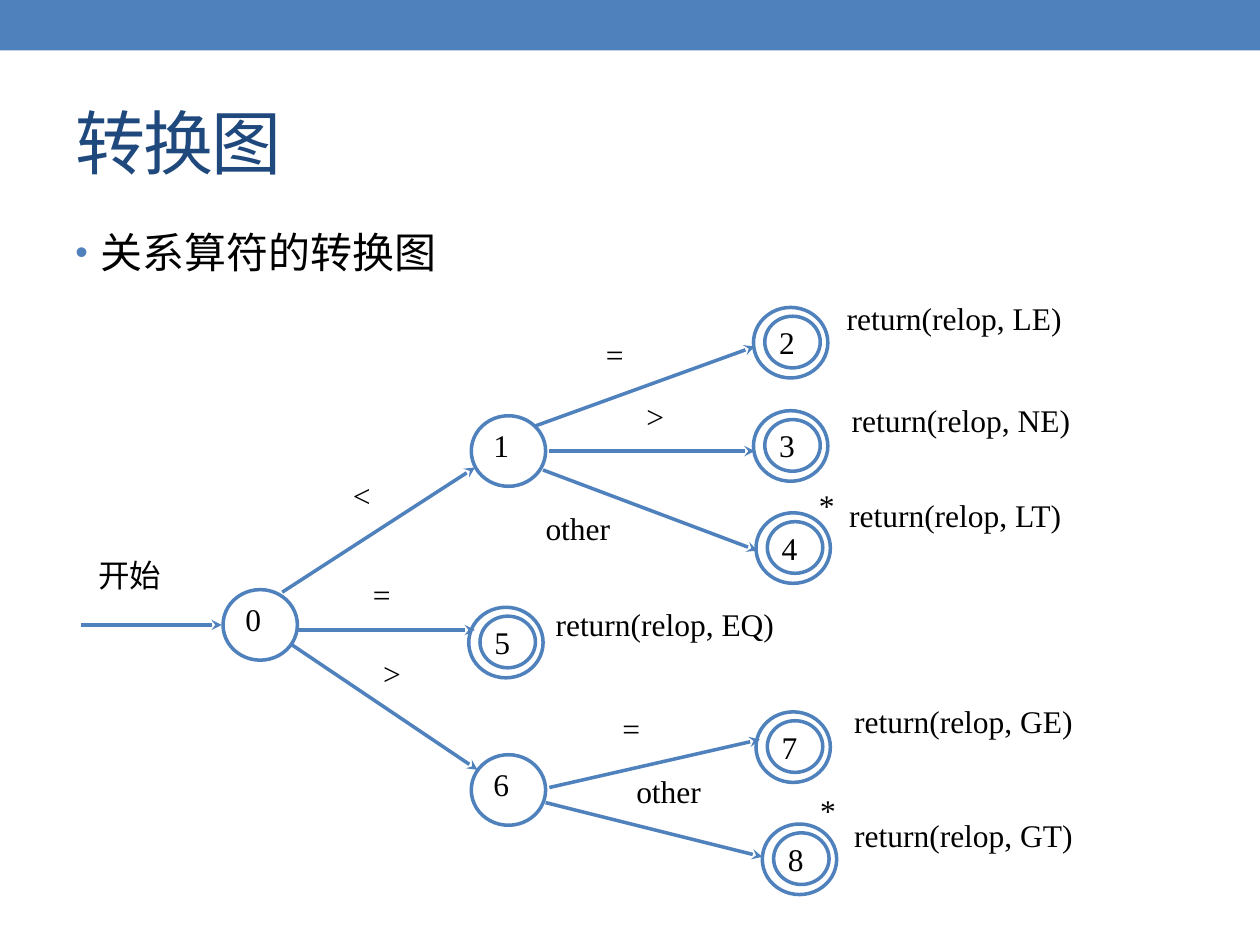
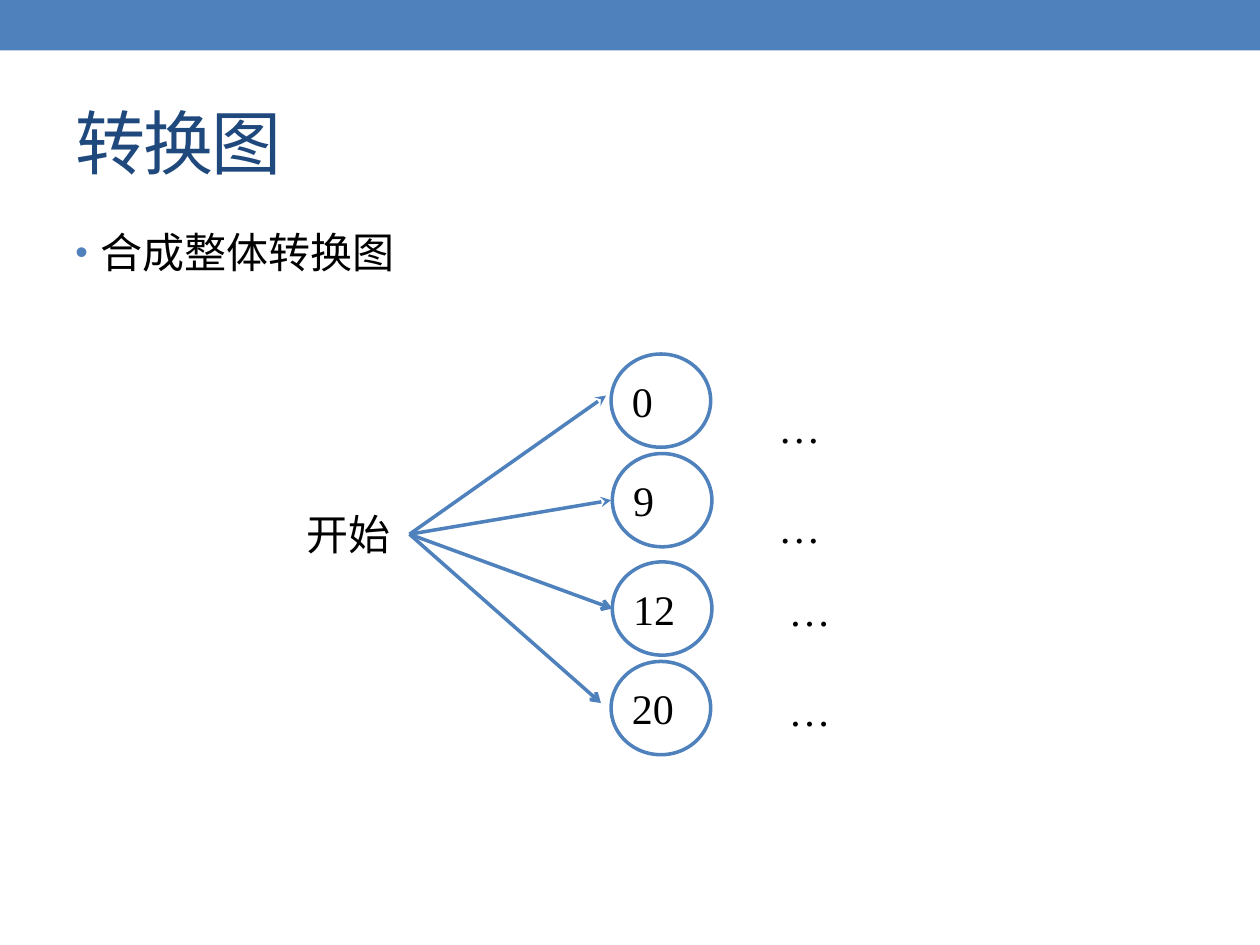
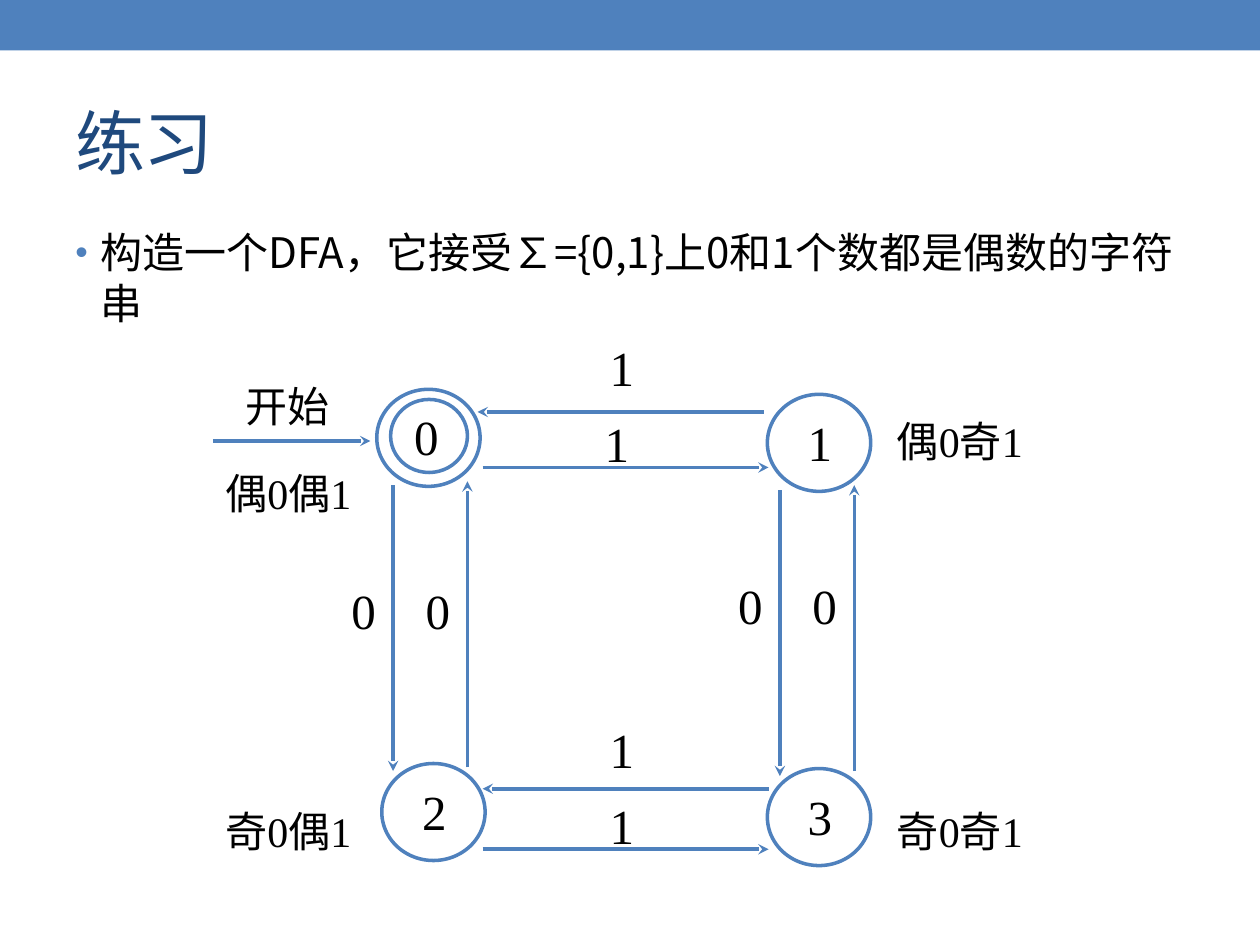
import pptx
import pptx.dml.color
import pptx.enum.shapes
import pptx.enum.text
import pptx.oxml
import pptx.oxml.ns
import pptx.util

Inches = pptx.util.Inches
Pt = pptx.util.Pt
RGBColor = pptx.dml.color.RGBColor
Align = pptx.enum.text.PP_ALIGN
Anchor = pptx.enum.text.MSO_ANCHOR
Preset = pptx.enum.shapes.MSO_SHAPE

BLUE = RGBColor(0x4F, 0x81, 0xBD)
NAVY = RGBColor(0x1F, 0x49, 0x7D)
BLACK = RGBColor(0, 0, 0)
SERIF = "Times New Roman"
SANS = "Noto Sans CJK SC"


def add_xml(parent, tag, **attributes):
    """Append a drawing element with the given attributes and return it."""
    element = pptx.oxml.parse_xml("<a:%s %s/>" % (tag, pptx.oxml.ns.nsdecls("a")))
    for name, value in attributes.items():
        element.set(name, str(value))
    parent.append(element)
    return element


def write_text(shape, text, size=18, font=SERIF, color=BLACK, align=Align.LEFT,
               anchor=Anchor.TOP, insets=(0.1, 0.05, 0.1, 0.05), tracking=None):
    """Put one formatted paragraph into a shape and return the paragraph."""
    frame = shape.text_frame
    frame.word_wrap = True
    frame.vertical_anchor = anchor
    (frame.margin_left, frame.margin_top,
     frame.margin_right, frame.margin_bottom) = map(Inches, insets)
    para = frame.paragraphs[0]
    para.alignment = align
    span = para.add_run()
    span.text = text
    span.font.size = Pt(size)
    span.font.name = font
    span.font.color.rgb = color
    properties = span.font._element
    add_xml(properties, "ea", typeface=SANS)
    if tracking:
        properties.set("spc", str(tracking))
    return para


class Builder:
    """Holds the deck, the shared style and the current page."""

    def __init__(self):
        """Start an empty 10 by 7.5 inch deck."""
        self.deck = pptx.Presentation()
        self.deck.slide_width = Inches(10)
        self.deck.slide_height = Inches(7.5)
        self.page = None

    def start_page(self, title, bullet, title_font=SERIF, bullet_font=SANS):
        """Add a page with its top band, title and bullet line."""
        self.page = self.deck.slides.add_slide(self.deck.slide_layouts[6])
        band = self.shape(Preset.RECTANGLE, 0, 0, 10, 0.4)
        band.fill.solid()
        band.fill.fore_color.rgb = BLUE
        band.line.fill.background()
        self.label(title, 0.5, 0.58, 9, 1.08, size=40, font=title_font,
                   color=NAVY, anchor=Anchor.MIDDLE, tracking=-100)
        para = self.label(bullet, 0.5, 1.75, 9, 5.33, size=24, font=bullet_font)
        para.space_before = Pt(4.8)
        properties = para._p.get_or_add_pPr()
        properties.set("marL", str(Inches(0.2)))
        properties.set("indent", str(Inches(-0.2)))
        add_xml(add_xml(properties, "buClr"), "srgbClr", val=BLUE)
        add_xml(properties, "buSzPct", val=85000)
        add_xml(properties, "buFont", typeface="Arial")
        add_xml(properties, "buChar", char="•")

    def shape(self, preset, left, top, width, height):
        """Add a preset shape without shadow."""
        shape = self.page.shapes.add_shape(
            preset, *map(Inches, (left, top, width, height)))
        shape.shadow.inherit = False
        return shape

    def label(self, text, left, top, width, height, **style):
        """Add a text box and return its paragraph."""
        box = self.page.shapes.add_textbox(
            *map(Inches, (left, top, width, height)))
        return write_text(box, text, **style)

    def ring(self, left, top, width, height, text=None, **style):
        """Add an outlined ellipse, with text if given."""
        ring = self.shape(Preset.OVAL, left, top, width, height)
        ring.fill.background()
        ring.line.color.rgb = BLUE
        ring.line.width = Pt(2)
        if text:
            write_text(ring, text, **style)

    def arrow(self, start_x, start_y, end_x, end_y, head="stealth"):
        """Add a straight arrow between two points."""
        arrow = self.page.shapes.add_connector(
            pptx.enum.shapes.MSO_CONNECTOR.STRAIGHT,
            *map(Inches, (start_x, start_y, end_x, end_y)))
        arrow.line.color.rgb = BLUE
        arrow.line.width = Pt(2)
        add_xml(arrow.line._ln, "tailEnd", type=head)
        add_xml(arrow._element.spPr, "effectLst")


def relation_page(builder):
    """Transition diagram of the relational operators."""
    builder.start_page("转换图", "关系算符的转换图", bullet_font=SERIF)
    width, height = 0.59, 0.56
    for text, left, top in (("0", 1.77, 4.68), ("1", 3.74, 3.3), ("6", 3.74, 5.99)):
        builder.ring(left, top, width, height, text, align=Align.JUSTIFY,
                     insets=(0.09, 0, 0.1, 0.05))
    accepting = (("5", 3.72, 4.82), ("2", 5.98, 2.44), ("4", 6, 4.07),
                 ("8", 6.05, 6.54), ("3", 5.98, 3.26), ("7", 6, 5.65))
    for text, left, top in accepting:
        builder.ring(left, top, width, height)
        builder.ring(left + 0.09, top + 0.07, 0.44, 0.41, text, align=Align.JUSTIFY,
                     anchor=Anchor.MIDDLE, insets=(0.05, 0, 0.07, 0))
    for ends in ((0.64, 4.96, 1.76, 4.96), (2.24, 4.7, 3.77, 3.71),
                 (4.25, 3.38, 5.99, 2.75), (4.36, 3.58, 5.99, 3.58),
                 (4.31, 3.73, 6.01, 4.37), (2.36, 5, 3.77, 5),
                 (2.32, 5.12, 3.79, 6.11), (4.33, 6.37, 6.05, 6.8),
                 (4.36, 6.25, 6.03, 5.87)):
        builder.arrow(*ends)
    results = (("LE", 6.66, 2.37), ("NE", 6.7, 3.18), ("LT", 6.68, 3.94),
               ("GE", 6.72, 5.57), ("GT", 6.72, 6.48), ("EQ", 4.35, 4.8))
    labels = [("return(relop, %s)" % name, left, top, 2.7, 0.53)
              for name, left, top in results]
    labels += [("开始", 0.72, 4.41, 0.96, 0.47), ("<", 2.74, 3.78, 0.32, 0.31),
               ("=", 4.75, 2.66, 0.4, 0.34), (">", 5.07, 3.15, 0.32, 0.39),
               ("=", 2.9, 4.56, 0.59, 0.38), (">", 2.98, 5.19, 0.49, 0.35),
               ("=", 4.88, 5.63, 0.43, 0.35), ("*", 6.45, 6.28, 0.23, 0.25),
               ("*", 6.44, 3.86, 0.24, 0.24), ("other", 4.99, 6.13, 1.07, 0.39),
               ("other", 4.27, 4.04, 0.97, 0.33)]
    for label in labels:
        builder.label(*label, align=Align.JUSTIFY, insets=(0.06, 0, 0.06, 0.03))


def combined_page(builder):
    """One start point that leads to every diagram."""
    builder.start_page("转换图", "合成整体转换图")
    builder.label("开始", 2.37, 4.01, 1.05, 0.57, size=24, align=Align.JUSTIFY,
                  insets=(0.06, 0.03, 0.06, 0.03))
    branches = (("0", 4.85, 2.81, 6.08, 3.14, 4.81, 3.14, "stealth"),
                ("9", 4.86, 3.6, 6.08, 3.93, 4.85, 3.97, "stealth"),
                ("12", 4.86, 4.46, 6.16, 4.59, 4.86, 4.83, "arrow"),
                ("20", 4.85, 5.25, 6.16, 5.38, 4.77, 5.58, "arrow"))
    for text, left, top, dots_left, dots_top, end_x, end_y, head in branches:
        builder.arrow(3.25, 4.24, end_x, end_y, head)
        builder.ring(left, top, 0.79, 0.74, text, size=24, anchor=Anchor.MIDDLE,
                     insets=(0.05, 0.05, 0.02, 0.05))
        builder.label("…", dots_left, dots_top, 0.42, 0.5, size=24)


def exercise_page(builder):
    """Automaton for an even number of zeros and of ones."""
    builder.start_page("练习", "构造一个DFA，它接受∑={0,1}上0和1个数都是偶数的字符串",
                       title_font=SANS)
    width, height = 0.82, 0.77
    for text, left, top in (("1", 6.09, 3.13), ("2", 3.03, 6.06), ("3", 6.09, 6.1)):
        builder.ring(left, top, width, height, text, size=28, align=Align.JUSTIFY,
                     insets=(0.2, 0.03, 0.1, 0.05))
    builder.ring(2.99, 3.09, width, height)
    builder.ring(3.1, 3.17, 0.61, 0.58, "0", size=28, align=Align.JUSTIFY,
                 anchor=Anchor.MIDDLE, insets=(0.1, 0, 0.06, 0))
    builder.arrow(1.69, 3.5, 2.94, 3.5)
    span = 2.27
    for x, y in ((3.12, 3.85), (6.19, 3.89)):
        builder.arrow(x, y, x, y + span)
    for x, y in ((3.71, 3.82), (6.78, 3.85)):
        builder.arrow(x, y + span, x, y)
    for x, y in ((3.83, 3.71), (3.83, 6.74)):
        builder.arrow(x, y, x + span, y)
    for x, y in ((3.79, 3.27), (3.83, 6.26)):
        builder.arrow(x + span, y, x, y)
    captions = (("开始", 1.85, 3.01, 1.06), ("偶0偶1", 1.69, 3.7, 1.57),
                ("偶0奇1", 7.02, 3.29, 1.57), ("奇0偶1", 1.69, 6.38, 1.33),
                ("奇0奇1", 7.02, 6.38, 1.26))
    inputs = (("0", 6.35, 4.56, 0.97), ("0", 5.76, 4.56, 0.97),
              ("0", 3.28, 4.6, 0.83), ("0", 2.69, 4.6, 0.97),
              ("1", 4.74, 5.7, 0.65), ("1", 4.74, 6.3, 0.65),
              ("1", 4.74, 2.67, 0.65), ("1", 4.7, 3.27, 0.65))
    for size, labels in ((24, captions), (28, inputs)):
        for label in labels:
            builder.label(*label, 0.53, size=size, align=Align.JUSTIFY,
                          insets=(0.1, 0.01, 0.1, 0.05))


builder = Builder()
relation_page(builder)
combined_page(builder)
exercise_page(builder)
builder.deck.save("out.pptx")
